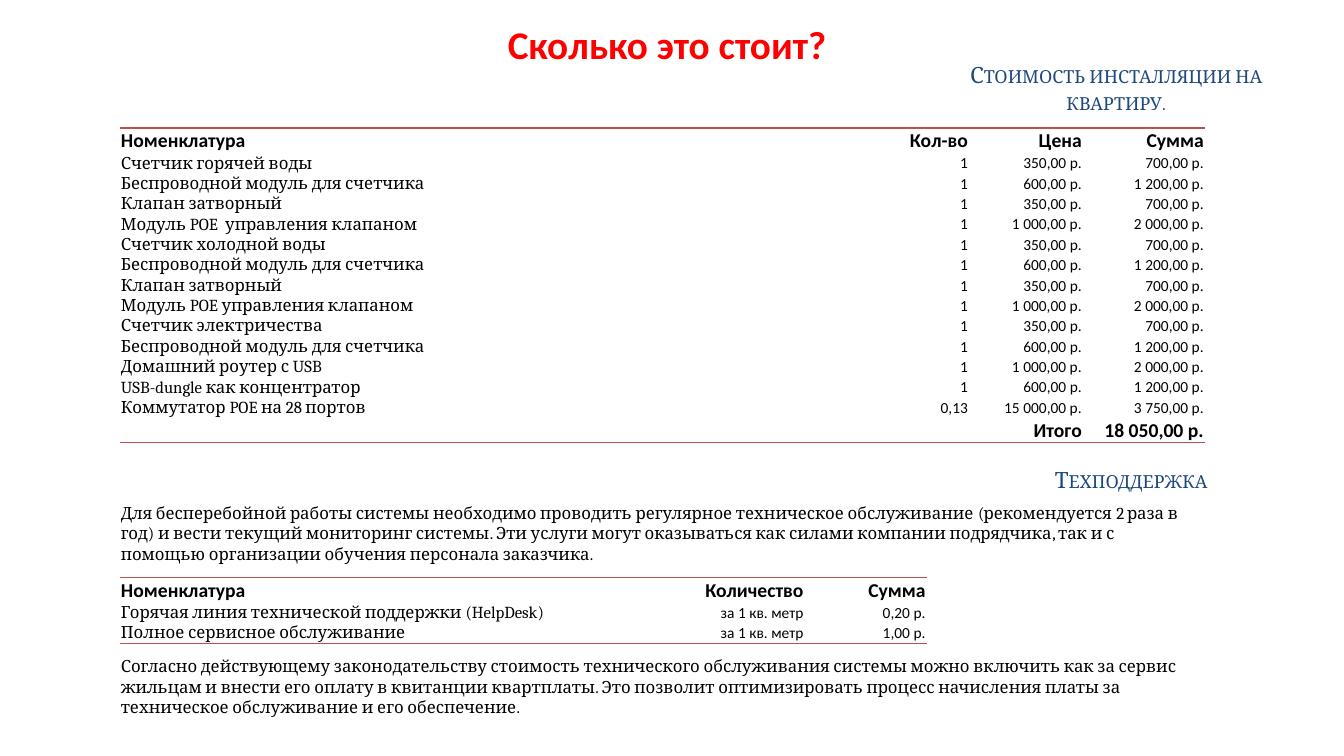
from dataclasses import dataclass
from typing import NamedTuple

import lxml.etree
import pptx
import pptx.dml.color
import pptx.enum.text
import pptx.oxml.ns
import pptx.util

Inches = pptx.util.Inches
Color = pptx.dml.color.RGBColor
Align = pptx.enum.text.PP_ALIGN
Anchor = pptx.enum.text.MSO_ANCHOR
AutoSize = pptx.enum.text.MSO_AUTO_SIZE


class TextStyle(NamedTuple):
    size: float
    font: str
    color: str
    bold: bool = False
    small_caps: bool = False


@dataclass(frozen=True)
class Theme:
    title: TextStyle = TextStyle(28, "Calibri", "FF0000", bold=True)
    heading: TextStyle = TextStyle(16, "Cambria", "1F497D", small_caps=True)
    body: TextStyle = TextStyle(12, "Cambria", "000000")
    strong: TextStyle = TextStyle(14, "Calibri", "000000", bold=True)
    number: TextStyle = TextStyle(11, "Calibri", "000000")
    rule: str = "C0504D"
    rule_width: float = 1
    plain_table: str = "{2D5ABB26-0587-4C30-8999-92F81FD0307C}"


class Box(NamedTuple):
    left: float
    top: float
    width: float
    height: float


@dataclass(frozen=True)
class TextBlock:
    text: str
    box: Box
    style: TextStyle
    align: Align = Align.LEFT
    anchor: Anchor = Anchor.TOP
    auto_size: AutoSize = AutoSize.SHAPE_TO_FIT_TEXT


@dataclass(frozen=True)
class PriceTable:
    left: float
    top: float
    columns: tuple[float, ...]
    rows: tuple[tuple[str, ...], ...]
    has_total: bool = False


THEME = Theme()
STRONG_ROW, BODY_ROW = 0.24, 0.2
NAME_WIDTH, PRICE_WIDTH, SUM_WIDTH = 5.66, 1.13, 1.21

METER_SENSOR = ("Беспроводной модуль для счетчика", "1", "600,00 р.", "1 200,00 р.")
VALVE = ("Клапан затворный", "1", "350,00 р.", "700,00 р.")


def meter(name: str) -> tuple[str, ...]:
    return (f"Счетчик {name}", "1", "350,00 р.", "700,00 р.")


def controller(name: str) -> tuple[str, ...]:
    return (name, "1", "1 000,00 р.", "2 000,00 р.")


TABLES = (
    PriceTable(1.19, 1.27, (NAME_WIDTH, 2.76, PRICE_WIDTH, SUM_WIDTH), (
        ("Номенклатура", "Кол-во", "Цена", "Сумма"),
        meter("горячей воды"),
        METER_SENSOR,
        VALVE,
        controller("Модуль POE\u00a0 управления клапаном"),
        meter("холодной воды"),
        METER_SENSOR,
        VALVE,
        controller("Модуль POE управления клапаном"),
        meter("электричества"),
        METER_SENSOR,
        controller("Домашний роутер с\u00a0USB"),
        ("USB-dungle\u00a0как концентратор", "1", "600,00 р.", "1 200,00 р."),
        ("Коммутатор POE на 28 портов", "0,13", "15 000,00 р.", "3 750,00 р."),
        ("", "", "\u00a0Итого", "18 050,00 р."),
    ), has_total=True),
    PriceTable(1.19, 5.73, (NAME_WIDTH, PRICE_WIDTH, SUM_WIDTH), (
        ("Номенклатура", "Количество", "Сумма"),
        ("Горячая линия технической поддержки (HelpDesk)", "за 1 кв. метр", "0,20 р."),
        ("Полное сервисное обслуживание", "за 1 кв. метр", "1,00 р."),
    )),
)

TITLE = TextBlock("Сколько это стоит?", Box(1.85, 0.18, 9.53, 0.51), THEME.title,
                  Align.CENTER, Anchor.MIDDLE, AutoSize.NONE)


def heading(text: str, box: Box) -> TextBlock:
    return TextBlock(text, box, THEME.heading, Align.CENTER, Anchor.BOTTOM, AutoSize.NONE)


TEXT_BLOCKS = (
    heading("Стоимость инсталляции на квартиру.", Box(9.04, 0.43, 4.06, 0.76)),
    heading("Техподдержка", Box(9.19, 4.56, 4.06, 0.38)),
    TextBlock("Для бесперебойной работы системы необходимо проводить регулярное техническое "
              "обслуживание (рекомендуется 2 раза в год) и вести текущий мониторинг системы. "
              "Эти услуги могут оказываться как силами компании подрядчика, так и с помощью "
              "организации обучения персонала заказчика.",
              Box(1.1, 4.94, 10.74, 0.71), THEME.body),
    TextBlock("Согласно действующему законодательству стоимость технического обслуживания "
              "системы можно включить как за сервис жильцам и внести его оплату в квитанции "
              "квартплаты. Это позволит оптимизировать процесс начисления платы за "
              "техническое обслуживание и его обеспечение.",
              Box(1.1, 6.46, 10.74, 0.71), THEME.body),
)


def add_run(paragraph, text: str, style: TextStyle) -> None:
    run = paragraph.add_run()
    run.text = text
    run.font.size = pptx.util.Pt(style.size)
    run.font.name = style.font
    run.font.bold = style.bold
    run.font.color.rgb = Color.from_string(style.color)
    if style.small_caps:
        run.font._element.set("cap", "small")


def fill_text(shape, block: TextBlock) -> None:
    shape.left, shape.top, shape.width, shape.height = map(Inches, block.box)
    frame = shape.text_frame
    frame.word_wrap = True
    frame.auto_size = block.auto_size
    frame.vertical_anchor = block.anchor
    paragraph = frame.paragraphs[0]
    paragraph.alignment = block.align
    add_run(paragraph, block.text, block.style)


def add_rule(cell, edge: str) -> None:
    qualified = pptx.oxml.ns.qn
    line = lxml.etree.Element(qualified(edge), w=str(pptx.util.Pt(THEME.rule_width)))
    solid = lxml.etree.SubElement(line, qualified("a:solidFill"))
    lxml.etree.SubElement(solid, qualified("a:srgbClr"), val=THEME.rule)
    cell._tc.get_or_add_tcPr().insert(0, line)


def fill_cell(cell, text: str, style: TextStyle, align: Align) -> None:
    cell.margin_left = cell.margin_top = cell.margin_right = Inches(0.01)
    cell.margin_bottom = 0
    cell.vertical_anchor = Anchor.MIDDLE
    cell.fill.background()
    paragraph = cell.text_frame.paragraphs[0]
    paragraph.alignment = align
    if text:
        add_run(paragraph, text, style)
    else:
        end = lxml.etree.SubElement(paragraph._p, pptx.oxml.ns.qn("a:endParaRPr"))
        end.set("sz", str(style.size * 100))


def add_price_table(slide, prices: PriceTable) -> None:
    last = len(prices.rows) - 1
    strong_rows = {0, last} if prices.has_total else {0}
    heights = [STRONG_ROW if index in strong_rows else BODY_ROW for index in range(last + 1)]
    table = slide.shapes.add_table(
        len(heights), len(prices.columns), Inches(prices.left), Inches(prices.top),
        Inches(sum(prices.columns)), Inches(sum(heights))).table
    table.first_row = table.horz_banding = False
    table._tbl.tblPr.find(pptx.oxml.ns.qn("a:tableStyleId")).text = THEME.plain_table
    for column, width in zip(table.columns, prices.columns):
        column.width = Inches(width)
    for row_index, texts in enumerate(prices.rows):
        table.rows[row_index].height = Inches(heights[row_index])
        for column_index, text in enumerate(texts):
            cell = table.cell(row_index, column_index)
            style = THEME.body if column_index == 0 else THEME.number
            if row_index in strong_rows:
                style = THEME.strong
            fill_cell(cell, text, style, Align.RIGHT if column_index else Align.LEFT)
            if row_index == 0:
                add_rule(cell, "a:lnT")
            if row_index == last:
                add_rule(cell, "a:lnB")


presentation = pptx.Presentation()
presentation.slide_width, presentation.slide_height = Inches(13.33), Inches(7.5)
slide = presentation.slides.add_slide(presentation.slide_layouts.get_by_name("Title Only"))
fill_text(slide.shapes.title, TITLE)
for prices in TABLES:
    add_price_table(slide, prices)
for block in TEXT_BLOCKS:
    fill_text(slide.shapes.add_textbox(*map(Inches, block.box)), block)
presentation.save("out.pptx")
